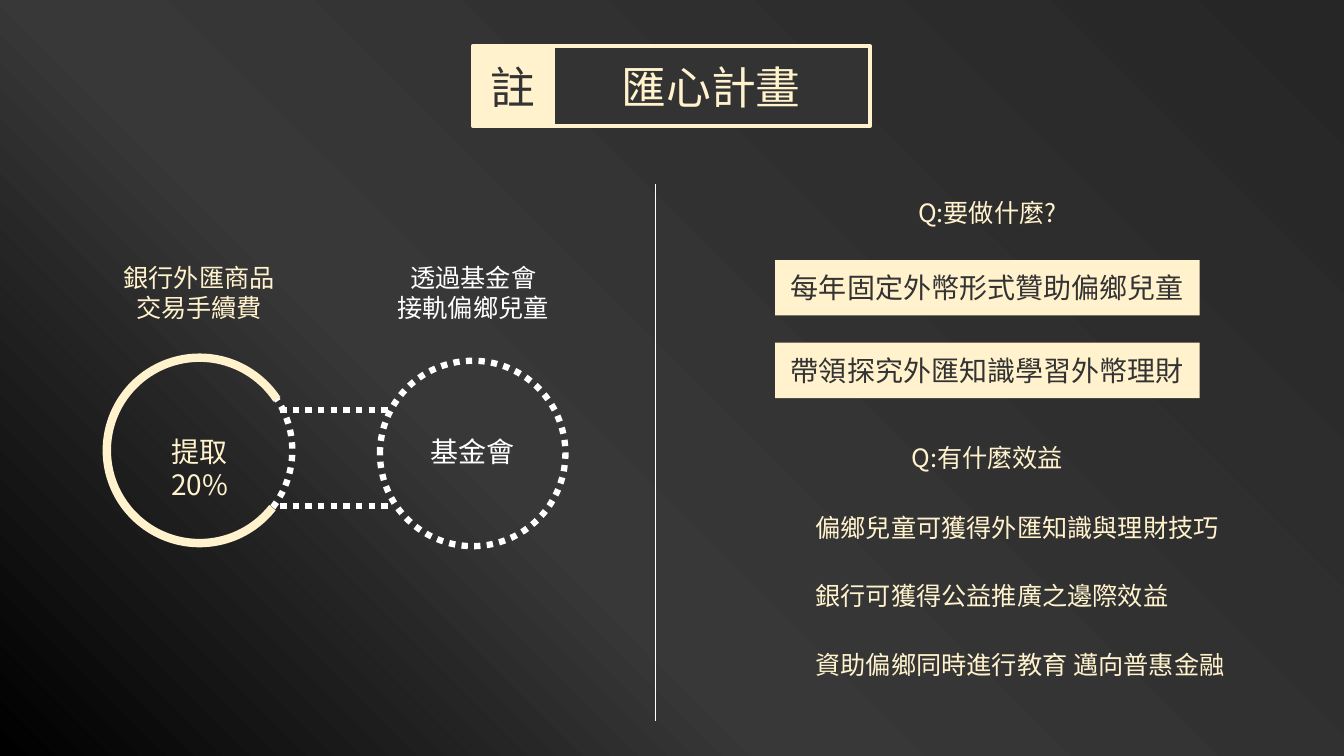
import copy
import pptx
import pptx.util
import pptx.dml.color
import pptx.enum.dml
import pptx.enum.shapes
import pptx.enum.text
import pptx.oxml

CREAM, WHITE, DARK = "FFF2CC", "FFFFFF", "333333"
COLUMNS = 80
SHAPE = pptx.enum.shapes.MSO_SHAPE
ALIGN = pptx.enum.text.PP_ALIGN
ANCHOR = pptx.enum.text.MSO_ANCHOR
AUTO = pptx.enum.text.MSO_AUTO_SIZE
DOT = pptx.enum.dml.MSO_LINE.ROUND_DOT


def rgb(value):
    return pptx.dml.color.RGBColor.from_string(value)


class Deck:
    font = "Noto Sans CJK JP"

    def __init__(self):
        self.prs = pptx.Presentation()
        self.prs.slide_width = pptx.util.Inches(13.33)
        self.prs.slide_height = pptx.util.Inches(7.5)
        self.s = self.prs.slides.add_slide(self.prs.slide_layouts[1])

    def grid(self, *cells):
        return [round(c * self.prs.slide_width / COLUMNS) for c in cells]

    def outline(self, line, color, width, dash=None):
        line.color.rgb = rgb(color)
        line.width = pptx.util.Pt(width)
        if dash:
            line.dash_style = dash

    def paint(self, sp, fill=None, line=None):
        if fill:
            sp.fill.solid()
            sp.fill.fore_color.rgb = rgb(fill)
        else:
            sp.fill.background()
        if line:
            self.outline(sp.line, *line)
        else:
            sp.line.fill.background()

    def set_text(self, sp, lines, size, color, align=ALIGN.CENTER, gap=0, **frame):
        tf = sp.text_frame
        settings = {"word_wrap": True, "auto_size": AUTO.NONE,
                    "vertical_anchor": ANCHOR.TOP, **frame}
        for name, value in settings.items():
            setattr(tf, name, value)
        for i, line in enumerate(lines):
            p = tf.paragraphs[0] if i == 0 else tf.add_paragraph()
            values = {"alignment": align, "space_before": pptx.util.Pt(0),
                      "space_after": pptx.util.Pt(gap if i < len(lines) - 1 else 0)}
            for name, value in values.items():
                setattr(p, name, value)
            r = p.add_run()
            r.text = line
            for name, value in {"size": pptx.util.Pt(size), "name": self.font}.items():
                setattr(r.font, name, value)
            r.font.color.rgb = rgb(color)
            ea = pptx.oxml.parse_xml(
                '<a:ea xmlns:a="http://schemas.openxmlformats.org/drawingml/2006/main" '
                f'typeface="{self.font}"/>')
            r.font._element.append(ea)

    def shape(self, kind, at, fill=None, line=None, turn=0):
        sp = self.s.shapes.add_shape(kind, *self.grid(*at))
        sp.shadow.inherit = False
        sp.rotation = turn
        self.paint(sp, fill, line)
        return sp

    def backdrop(self, stops):
        sp = self.shape(SHAPE.RECTANGLE, (0, 0, COLUMNS, 45))
        sp.fill.gradient()
        sp.fill.gradient_angle = 225
        gs_list = sp._element.xpath(".//a:gsLst")[0]
        gs_list.append(copy.deepcopy(gs_list[-1]))
        for stop, (position, color) in zip(sp.fill.gradient_stops, stops):
            stop.position = position
            stop.color.rgb = rgb(color)

    def text(self, at, lines, size, color, **frame):
        sp = self.s.shapes.add_textbox(*self.grid(*at))
        self.set_text(sp, lines, size, color, **frame)

    def placeholder(self, index, at):
        sp = self.s.placeholders[index]
        for name, value in zip(("left", "top", "width", "height"), self.grid(*at)):
            setattr(sp, name, value)
        self.s.shapes._spTree.append(sp._element)
        return sp

    def title(self, at, line, size, color, fill):
        sp = self.placeholder(0, at)
        self.paint(sp, fill, (color, 3))
        self.set_text(sp, [line], size, color, vertical_anchor=ANCHOR.MIDDLE)

    def plain_list(self, at, lines, size, color, gap):
        sp = self.placeholder(1, at)
        self.set_text(sp, lines, size, color, ALIGN.LEFT, gap)
        for p in sp.text_frame.paragraphs:
            pPr = p._p.get_or_add_pPr()
            for name in ("marL", "indent"):
                pPr.set(name, "0")
            pPr.append(pptx.oxml.parse_xml(
                '<a:buNone xmlns:a="http://schemas.openxmlformats.org/drawingml/2006/main"/>'))

    def line(self, ends, color, width, dash=None):
        cx = self.s.shapes.add_connector(
            pptx.enum.shapes.MSO_CONNECTOR.STRAIGHT, *self.grid(*ends))
        self.outline(cx.line, color, width, dash)
        cx._element.spPr.append(pptx.oxml.parse_xml(
            '<a:effectLst xmlns:a="http://schemas.openxmlformats.org/drawingml/2006/main"/>'))


def main():
    deck = Deck()
    deck.backdrop([(0, "262626"), (0.63, "383838"), (1, "000000")])

    badge = deck.shape(SHAPE.RECTANGLE, (28.14, 2.76, 4.74, 4.74), CREAM, (CREAM, 3))
    deck.set_text(badge, ["註"], 32, DARK, vertical_anchor=ANCHOR.MIDDLE)
    deck.title((32.88, 2.76, 18.9, 4.74), "匯心計畫", 32, CREAM, DARK)

    captions = [(4.92, CREAM, ["銀行外匯商品", "交易手續費"]),
                (21.24, WHITE, ["透過基金會", "接軌偏鄉兒童"])]
    for left, color, lines in captions:
        deck.text((left, 15.3, 13.86, 4.26), lines, 18, color)

    dotted = (WHITE, 4.5, DOT)
    fee_circle = (6.36, 21.3, 11.04, 11.04)
    deck.shape(SHAPE.OVAL, fee_circle, line=dotted, turn=11.2)
    arc = deck.shape(SHAPE.ARC, fee_circle, line=(CREAM, 6))
    for i, angle in enumerate((22.89, 195.9)):
        arc.adjustments[i] = angle
    for row in (24.42, 30.12):
        deck.line((16.68, row, 23.16, row), *dotted)
    deck.shape(SHAPE.OVAL, (22.62, 21.48, 11.04, 11.04), line=dotted)
    deck.text((7.8, 25.56, 8.16, 4.68), ["提取", "20%"], 20, CREAM)
    deck.text((25.02, 25.56, 6.24, 2.64), ["基金會"], 20, WHITE, word_wrap=False)

    deck.line((39, 10.98, 39, 42.9), WHITE, 0.5)

    for row, question in ((11.46, "Q:要做什麼?"), (26.04, "Q:有什麼效益")):
        deck.text((51.84, row, 13.86, 2.4), [question], 18, CREAM)
    actions = ["每年固定外幣形式贊助偏鄉兒童", "帶領探究外匯知識學習外幣理財"]
    for i, action in enumerate(actions):
        bar = deck.shape(SHAPE.RECTANGLE, (46.14, 15.48 + 4.92 * i, 25.26, 3.3), CREAM)
        deck.set_text(bar, [action], 20, DARK, vertical_anchor=ANCHOR.MIDDLE)
    deck.plain_list((47.94, 30.18, 25.98, 10.56),
                    ["偏鄉兒童可獲得外匯知識與理財技巧",
                     "銀行可獲得公益推廣之邊際效益",
                     "資助偏鄉同時進行教育 邁向普惠金融"], 18, CREAM, 27.5)

    deck.prs.save("out.pptx")


if __name__ == "__main__":
    main()
